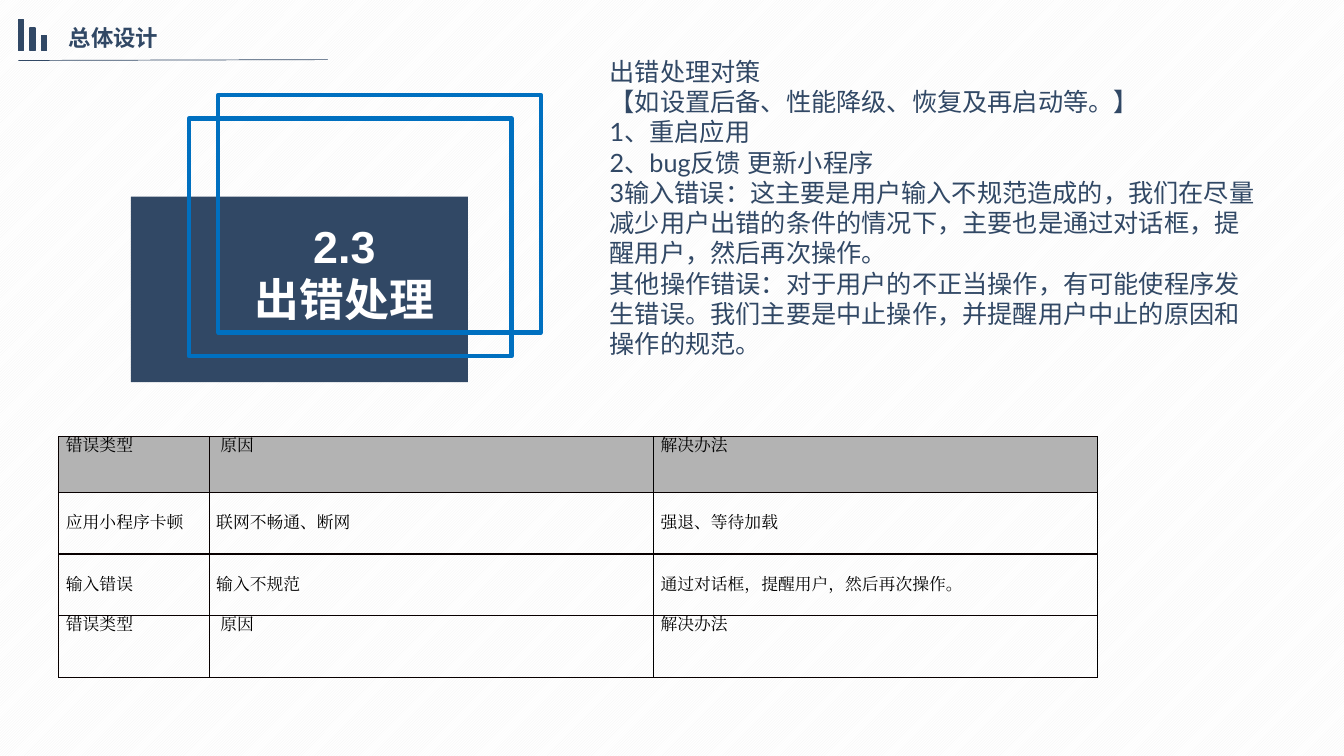
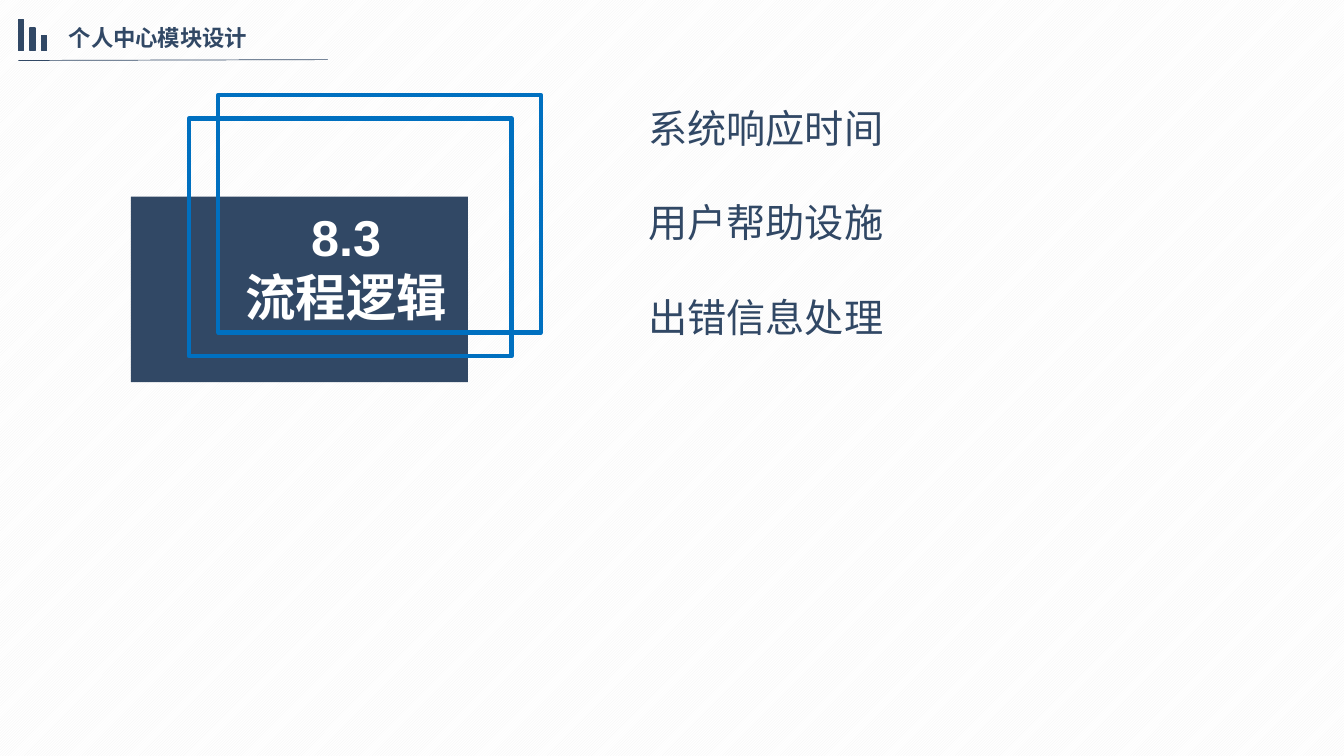
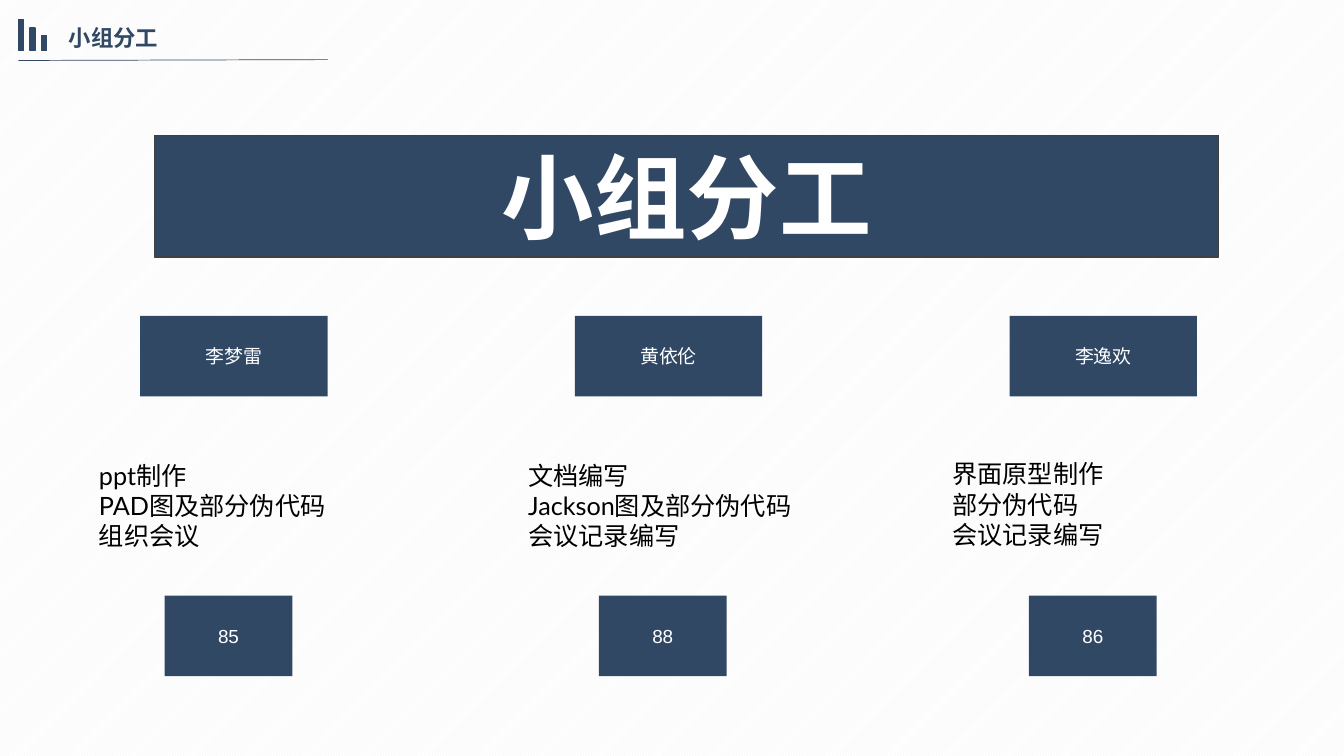
from pptx import Presentation
from pptx.dml.color import RGBColor
from pptx.enum.dml import MSO_PATTERN
from pptx.enum.shapes import MSO_CONNECTOR, MSO_SHAPE
from pptx.enum.text import MSO_ANCHOR, PP_ALIGN
from pptx.oxml import parse_xml
from pptx.oxml.ns import nsdecls
from pptx.oxml.xmlchemy import OxmlElement
from pptx.util import Inches, Pt

RECT, STRAIGHT = MSO_SHAPE.RECTANGLE, MSO_CONNECTOR.STRAIGHT
LEFT, CENTER, JUSTIFY = PP_ALIGN.LEFT, PP_ALIGN.CENTER, PP_ALIGN.JUSTIFY
TOP, MIDDLE = MSO_ANCHOR.TOP, MSO_ANCHOR.MIDDLE
STRIPES = MSO_PATTERN.DARK_UPWARD_DIAGONAL

NAVY, BLUE, WHITE, BLACK = "314865", "0070C0", "FFFFFF", "000000"
PALE, GREY, CHARCOAL = "F2F2F2", "B3B3B3", "404040"
HEAD_FONT, BODY_FONT, TABLE_FONT = "Arial", "Lato", "Times New Roman"
HEAVY, LIGHT = ("080000", 1), (BLACK, 0.75)


def rgb(value):
    return RGBColor.from_string(value)


def grid(*units):
    """Turn units of a 160 by 90 grid into lengths."""
    return [Inches(u / 12) for u in units]


def write(tf, text, size=18, color=NAVY, font=BODY_FONT, bold=False,
          align=LEFT, anchor=TOP, gap=0):
    """Fill a text frame, one paragraph for each line of text."""
    tf.word_wrap = True
    tf.vertical_anchor = anchor
    for i, line in enumerate(text.split("\n")):
        p = tf.add_paragraph() if i else tf.paragraphs[0]
        p.alignment = align
        p.space_after = Pt(gap)
        r = p.add_run()
        r.text = line
        r.font.size, r.font.bold, r.font.name = Pt(size), bold, font
        r.font.color.rgb = rgb(color)
        ea = OxmlElement("a:ea")
        ea.set("typeface", font)
        r.font._element.append(ea)


def set_border(cell, side, color, width):
    cell._tc.get_or_add_tcPr().append(parse_xml(
        f'<a:ln{side} {nsdecls("a")} w="{Pt(width)}"><a:solidFill>'
        f'<a:srgbClr val="{color}"/></a:solidFill></a:ln{side}>'))


class Deck:
    def __init__(self):
        self.prs = Presentation()
        self.prs.slide_width, self.prs.slide_height = grid(160, 90)
        fill = self.prs.slide_master.background.fill
        fill.patterned()
        fill.pattern = STRIPES
        fill.fore_color.rgb, fill.back_color.rgb = rgb(PALE), rgb(WHITE)

    def slide(self, title):
        """Start a slide with the bar mark, title and rule."""
        self.shapes = self.prs.slides.add_slide(self.prs.slide_layouts[6]).shapes
        self.line(2.2, 7.2, 39, 7.1)
        self.text(7, 2.3, 31.9, 4.4, title, size=16, font=HEAD_FONT,
                  bold=True, align=JUSTIFY)
        for i, top in enumerate((2.3, 3.35, 4.2)):
            self.box(2.2 + 1.38 * i, top, 0.6, 6.05 - top, line=(NAVY, 1))

    def box(self, x, y, w, h, fill=NAVY, line=None, text="", **style):
        sp = self.shapes.add_shape(RECT, *grid(x, y, w, h))
        sp.shadow.inherit = False
        if fill:
            sp.fill.solid()
            sp.fill.fore_color.rgb = rgb(fill)
        else:
            sp.fill.background()
        if line:
            sp.line.color.rgb, sp.line.width = rgb(line[0]), Pt(line[1])
        else:
            sp.line.fill.background()
        if text:
            write(sp.text_frame, text, color=WHITE, font=HEAD_FONT,
                  align=CENTER, **style)

    def text(self, x, y, w, h, text, **style):
        sp = self.shapes.add_textbox(*grid(x, y, w, h))
        write(sp.text_frame, text, **style)

    def line(self, x1, y1, x2, y2, color=NAVY, width=0.5):
        sp = self.shapes.add_connector(STRAIGHT, *grid(x1, y1, x2, y2))
        sp.line.color.rgb, sp.line.width = rgb(color), Pt(width)
        sp._element.spPr.append(OxmlElement("a:effectLst"))

    def section(self, text, size, x, y, w, h):
        """Draw the section block with its two offset frames."""
        self.box(15.6, 23.4, 40.1, 22.1)
        for left, top in ((22.5, 14.1), (26, 11.3)):
            self.box(left, top, 38.4, 28.3, fill=None, line=(BLUE, 3))
        self.text(x, y, w, h, text, size=size, color=WHITE, font=HEAD_FONT,
                  bold=True, align=CENTER)

    def table(self, x, y, widths, heights, rows, top_rows):
        """Draw a grid table; top_rows are set at the top of their cells."""
        frame = self.shapes.add_table(len(rows), len(widths),
                                      *grid(x, y, sum(widths), sum(heights)))
        table = frame.table
        table.first_row = table.horz_banding = False
        for column, width in zip(table.columns, grid(*widths)):
            column.width = width
        for row, height in zip(table.rows, grid(*heights)):
            row.height = height
        for r, row in enumerate(rows):
            for c, value in enumerate(row):
                cell = table.cell(r, c)
                at_top = r in top_rows
                indent = 0.5 if at_top and c == 1 else 0
                cell.margin_left, cell.margin_right = grid(0.85 + indent, 0.85)
                cell.margin_top = cell.margin_bottom = 0
                for side, edge in (("L", HEAVY if c < 2 else LIGHT),
                                   ("R", HEAVY if c < 1 else LIGHT),
                                   ("T", HEAVY), ("B", HEAVY)):
                    set_border(cell, side, *edge)
                if r == 0:
                    cell.fill.solid()
                    cell.fill.fore_color.rgb = rgb(GREY)
                else:
                    cell.fill.background()
                write(cell.text_frame, value, size=12, color=BLACK,
                      font=TABLE_FONT, align=JUSTIFY)
                cell.vertical_anchor = TOP if at_top else MIDDLE


ERROR_NOTES = """出错处理对策
【如设置后备、性能降级、恢复及再启动等。】
1、重启应用
2、bug反馈 更新小程序
3输入错误：这主要是用户输入不规范造成的，我们在尽量减少用户出错的条件的情况下，主要也是通过对话框，提醒用户，然后再次操作。
其他操作错误：对于用户的不正当操作，有可能使程序发生错误。我们主要是中止操作，并提醒用户中止的原因和操作的规范。"""

ERROR_HEAD = ("错误类型", "原因", "解决办法")
ERROR_ROWS = [
    ERROR_HEAD,
    ("应用小程序卡顿", "联网不畅通、断网", "强退、等待加载"),
    ("输入错误", "输入不规范", "通过对话框，提醒用户，然后再次操作。"),
    ERROR_HEAD,
]

# name, tasks, left, top and width of the tasks, score, left of the score
MEMBERS = [
    ("李梦雷", "ppt制作\nPAD图及部分伪代码\n组织会议", 10.6, 54.2, 33, "85", 19.6),
    ("黄依伦", "文档编写\nJackson图及部分伪代码\n会议记录编写",
     61.7, 54.2, 38.8, "88", 71.3),
    ("李逸欢", "界面原型制作\n部分伪代码\n会议记录编写",
     112.2, 54, 42.1, "86", 122.5),
]


def main():
    deck = Deck()

    deck.slide("总体设计")
    deck.section("2.3\n出错处理", 32, 24.2, 25.4, 33.6, 14.2)
    deck.table(7, 52, (17.9, 52.9, 52.9), (6.6, 7.35, 7.35, 7.35),
               ERROR_ROWS, top_rows=(0, 3))
    deck.text(71.4, 6.1, 79.3, 37.6, ERROR_NOTES)

    deck.slide("个人中心模块设计")
    deck.section("8.3\n流程逻辑", 36, 26, 23.9, 30.4, 15.7)
    deck.text(76, 11.8, 43.8, 29.5, "系统响应时间\n用户帮助设施\n出错信息处理",
              size=28, gap=34)

    deck.slide("小组分工")
    deck.box(18.4, 16.1, 126.7, 14.5, line=(CHARCOAL, 0.75), text="小组分工",
             size=66, bold=True)
    for i, (name, tasks, x, y, w, score, score_x) in enumerate(MEMBERS):
        deck.box(16.7 + 51.75 * i, 37.6, 22.3, 9.6, text=name, size=13.5,
                 anchor=MIDDLE)
        deck.text(x, y, w, 12.1, tasks, color=BLACK)
        deck.box(score_x, 70.9, 15.2, 9.6, text=score, size=13.5,
                 anchor=MIDDLE)

    deck.prs.save("out.pptx")


if __name__ == "__main__":
    main()
